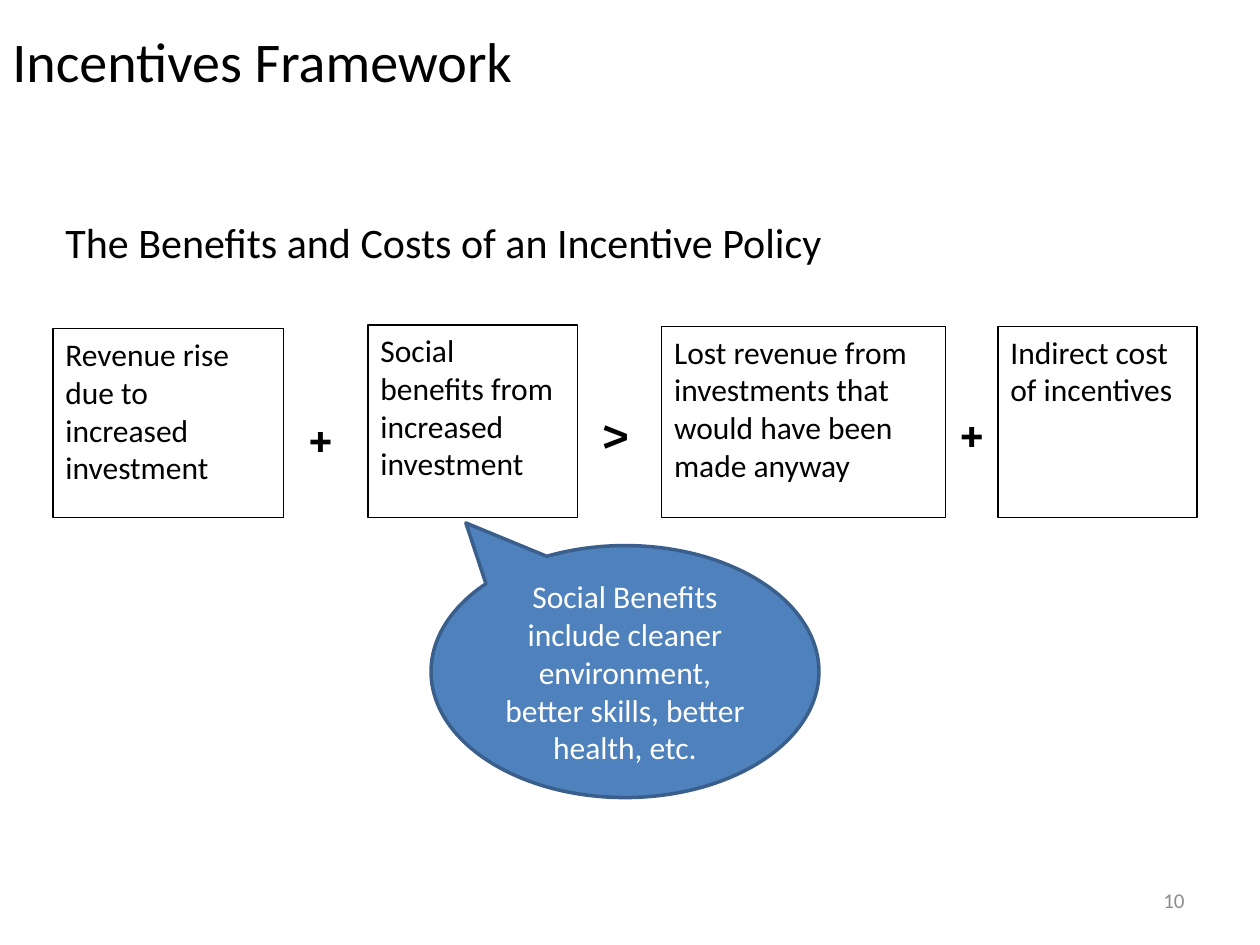
from pptx import Presentation
from pptx.dml.color import RGBColor
from pptx.enum.shapes import MSO_SHAPE
from pptx.enum.text import MSO_ANCHOR, PP_ALIGN
from pptx.util import Cm, Pt

RECT, CALLOUT = MSO_SHAPE.RECTANGLE, MSO_SHAPE.OVAL_CALLOUT
TOP, MIDDLE = MSO_ANCHOR.TOP, MSO_ANCHOR.MIDDLE
LEFT, CENTER, RIGHT = PP_ALIGN.LEFT, PP_ALIGN.CENTER, PP_ALIGN.RIGHT

THEME = {
    "black": "000000", "white": "FFFFFF", "gray": "8C8C8C",
    "blue": "4F81BD", "dark_blue": "3A5F8C",
    "body_font": "Calibri", "sign_font": "Cambria",
    "title": 32, "sign": 28, "heading": 24, "body": 18, "number": 12,
}


def write(sp, text, size, color="black", font="body_font", bold=False,
          align=LEFT, anchor=TOP):
    tf = sp.text_frame
    tf.word_wrap = True
    tf.vertical_anchor = anchor
    tf.text = text
    p = tf.paragraphs[0]
    p.alignment = align
    r = p.runs[0]
    r.font.name = THEME[font]
    r.font.size = Pt(THEME[size])
    r.font.bold = bold
    r.font.color.rgb = RGBColor.from_string(THEME[color])


def add_box(kind, left, top, width, height, fill, line, weight):
    sp = s.shapes.add_shape(kind, Cm(left), Cm(top), Cm(width), Cm(height))
    sp.shadow.inherit = False
    sp.fill.solid()
    sp.fill.fore_color.rgb = RGBColor.from_string(THEME[fill])
    sp.line.color.rgb = RGBColor.from_string(THEME[line])
    sp.line.width = Pt(weight)
    return sp


prs = Presentation()
prs.slide_width, prs.slide_height = Cm(25.4), Cm(19.05)
s = prs.slides.add_slide(prs.slide_layouts[6])

title = s.shapes.add_textbox(0, 0, Cm(22.86), Cm(2.41))
write(title, "Incentives Framework", "title", anchor=MIDDLE)

number = s.shapes.add_textbox(Cm(18.2), Cm(17.65), Cm(5.93), Cm(1.01))
write(number, "10", "number", "gray", align=RIGHT, anchor=MIDDLE)

heading = s.shapes.add_textbox(Cm(1.07), Cm(4.24), Cm(22.22), Cm(1.27))
write(heading, "The Benefits and Costs of an Incentive Policy", "heading")

TERMS_BOTTOM = 10.44
terms = [
    (1.07, 6.63, 4.65, "Revenue rise due to increased investment"),
    (7.42, 6.55, 4.22, "Social benefits from increased investment"),
    (13.34, 6.58, 5.72,
     "Lost revenue from investments that would have been made anyway"),
    (20.12, 6.58, 4.01, "Indirect cost of incentives"),
]
for left, top, width, text in terms:
    sp = add_box(RECT, left, top, width, TERMS_BOTTOM - top,
                 "white", "black", 0.75)
    write(sp, text, "body")

for left, top, sign in [(5.92, 8.1, "+"), (11.86, 7.98, ">"), (19.05, 7.98, "+")]:
    sp = s.shapes.add_textbox(Cm(left), Cm(top), Cm(0.79), Cm(1.45))
    write(sp, sign, "sign", font="sign_font", bold=True)

callout = add_box(CALLOUT, 8.69, 11, 7.82, 5.08, "blue", "dark_blue", 2)
callout.adjustments[0] = -0.41
callout.adjustments[1] = -0.59
write(callout, "Social Benefits include cleaner environment, better skills, "
      "better health, etc.", "body", "white", align=CENTER, anchor=MIDDLE)

prs.save("out.pptx")
